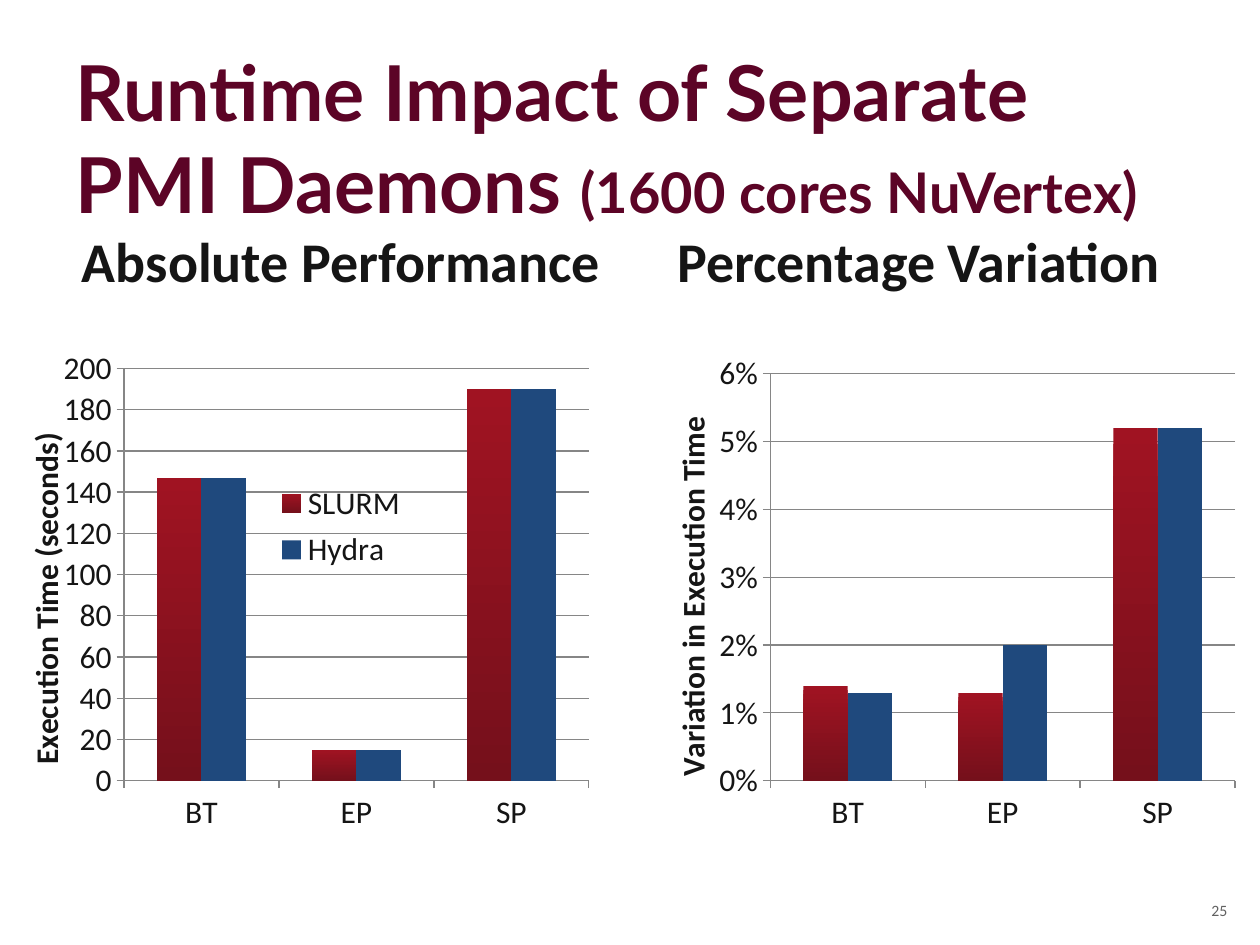
from lxml import etree
from pptx import Presentation
from pptx import util as u
from pptx.chart import data
from pptx.dml import color
from pptx.enum import chart as kinds
from pptx.enum import text
from pptx.oxml import ns

COLORS = {
    "title": "5C0426", "text": "151515", "number": "616161", "grid": "868686",
    "red_top": "A01322", "red_bottom": "75101B", "blue": "1F497D",
}


def rgb(name):
    return color.RGBColor.from_string(COLORS[name])


def place(parent, index, **sizes):
    for old in parent.findall(ns.qn("c:layout")):
        parent.remove(old)
    layout = etree.Element(ns.qn("c:layout"))
    manual = etree.SubElement(layout, ns.qn("c:manualLayout"))
    for tag, value in sizes.items():
        etree.SubElement(manual, ns.qn(f"c:{tag}")).set("val", str(value))
    parent.insert(index, layout)


class SlideBuilder:
    body_font = "Calibri"
    title_font = "Lato"
    chart_size = 18

    def __init__(self, slide):
        self.slide = slide

    def style(self, font, size, tint, bold=False, name=None):
        font.name = name or self.body_font
        font.size = u.Pt(size)
        font.bold = bold
        font.color.rgb = rgb(tint)

    def fill_text(self, box, bounds, spans, tint, align, anchor, bold=True, name=None):
        box.left, box.top, box.width, box.height = map(u.Inches, bounds)
        frame = box.text_frame
        frame.word_wrap = True
        frame.auto_size = text.MSO_AUTO_SIZE.NONE
        frame.vertical_anchor = anchor
        para = frame.paragraphs[0]
        para.alignment = align
        para.space_before = u.Pt(0)
        for words, size in spans:
            span = para.add_run()
            span.text = words
            self.style(span.font, size, tint, bold, name)

    def title(self, spans):
        self.fill_text(self.slide.shapes.title, (0.5, 0.3, 9, 1.25), spans, "title",
                       text.PP_ALIGN.LEFT, text.MSO_ANCHOR.TOP, name=self.title_font)

    def heading(self, index, left, words):
        self.fill_text(self.slide.placeholders[index], (left, 1.68, 4.42, 0.7),
                       [(words, 32)], "text", text.PP_ALIGN.CENTER, text.MSO_ANCHOR.BOTTOM)

    def page_number(self, words):
        box = self.slide.shapes.add_textbox(0, 0, 0, 0)
        self.fill_text(box, (9.42, 7.1, 0.42, 0.4), [(words, 9)], "number",
                       text.PP_ALIGN.RIGHT, text.MSO_ANCHOR.TOP, bold=False)

    def remove_placeholders(self, *indexes):
        for index in indexes:
            box = self.slide.placeholders[index].element
            box.getparent().remove(box)

    def column_chart(self, left, caption, caption_at, series, plot_at, top, step,
                     number_format):
        values = data.CategoryChartData(number_format=number_format)
        values.categories = ["BT", "EP", "SP"]
        for name, numbers in series.items():
            values.add_series(name, numbers)
        frame = self.slide.shapes.add_chart(
            kinds.XL_CHART_TYPE.COLUMN_CLUSTERED, u.Inches(left), u.Inches(2.5),
            u.Inches(4.92), u.Inches(4.25), values)
        chart = frame.chart
        chart.has_title = False
        chart.has_legend = False
        self.style(chart.font, self.chart_size, "text")

        plot = chart.plots[0]
        plot.vary_by_categories = False
        plot.gap_width = 150
        plot.overlap = 0
        first, second = plot.series
        first.format.fill.gradient()
        first.format.fill.gradient_angle = 270
        for stop, tint in zip(first.format.fill.gradient_stops, ("red_top", "red_bottom")):
            stop.color.rgb = rgb(tint)
        second.format.fill.solid()
        second.format.fill.fore_color.rgb = rgb("blue")

        axis = chart.value_axis
        axis.minimum_scale, axis.maximum_scale, axis.major_unit = 0, top, step
        axis.tick_labels.number_format = number_format
        axis.tick_labels.number_format_is_linked = False
        axis.has_major_gridlines = True
        for line in (axis.format.line, axis.major_gridlines.format.line,
                     chart.category_axis.format.line):
            line.color.rgb = rgb("grid")
            line.width = u.Pt(0.75)
        for scale in (axis, chart.category_axis):
            scale.major_tick_mark = kinds.XL_TICK_MARK.OUTSIDE

        label = axis.axis_title
        span = label.text_frame.paragraphs[0].add_run()
        span.text = caption
        self.style(span.font, self.chart_size, "text", bold=True)
        label.text_frame._txBody.bodyPr.set("rot", "-5400000")
        x, y = caption_at
        place(label._element, 1, xMode="edge", yMode="edge", x=x, y=y)

        x, y, w, h = plot_at
        area = chart._chartSpace.find(".//" + ns.qn("c:plotArea"))
        place(area, 0, layoutTarget="inner", xMode="edge", yMode="edge", x=x, y=y, w=w, h=h)
        return chart

    def legend(self, chart, x, y, w, h):
        chart.has_legend = True
        chart.legend.position = kinds.XL_LEGEND_POSITION.RIGHT
        chart.legend.include_in_layout = False
        self.style(chart.legend.font, self.chart_size, "text")
        place(chart.legend._element, 1, xMode="edge", yMode="edge", x=x, y=y, w=w, h=h)


def main():
    deck = Presentation()
    deck.slide_width, deck.slide_height = u.Inches(10), u.Inches(7.5)
    page = SlideBuilder(deck.slides.add_slide(deck.slide_layouts.get_by_name("Comparison")))
    page.remove_placeholders(2, 4)
    page.title([("Runtime Impact of Separate PMI Daemons ", 44),
                ("(1600 cores NuVertex)", 32)])
    page.heading(1, 0.5, "Absolute Performance")
    page.heading(3, 5.08, "Percentage Variation")
    page.page_number("25")
    page.column_chart(
        5.08, "Variation in Execution Time", (0.04, 0.18),
        {"Series 1": (0.014, 0.013, 0.052), "Series 2": (0.013, 0.02, 0.052)},
        (0.21, 0.11, 0.75, 0.76), 0.06, 0.01, "0%")
    times = (147, 15, 190)
    runtime = page.column_chart(
        0, "Execution Time (seconds)", (0.03, 0.21), {"SLURM": times, "Hydra": times},
        (0.2, 0.1, 0.75, 0.77), 200, 20, "General")
    page.legend(runtime, 0.44, 0.3, 0.22, 0.19)
    deck.save("out.pptx")


if __name__ == "__main__":
    main()
